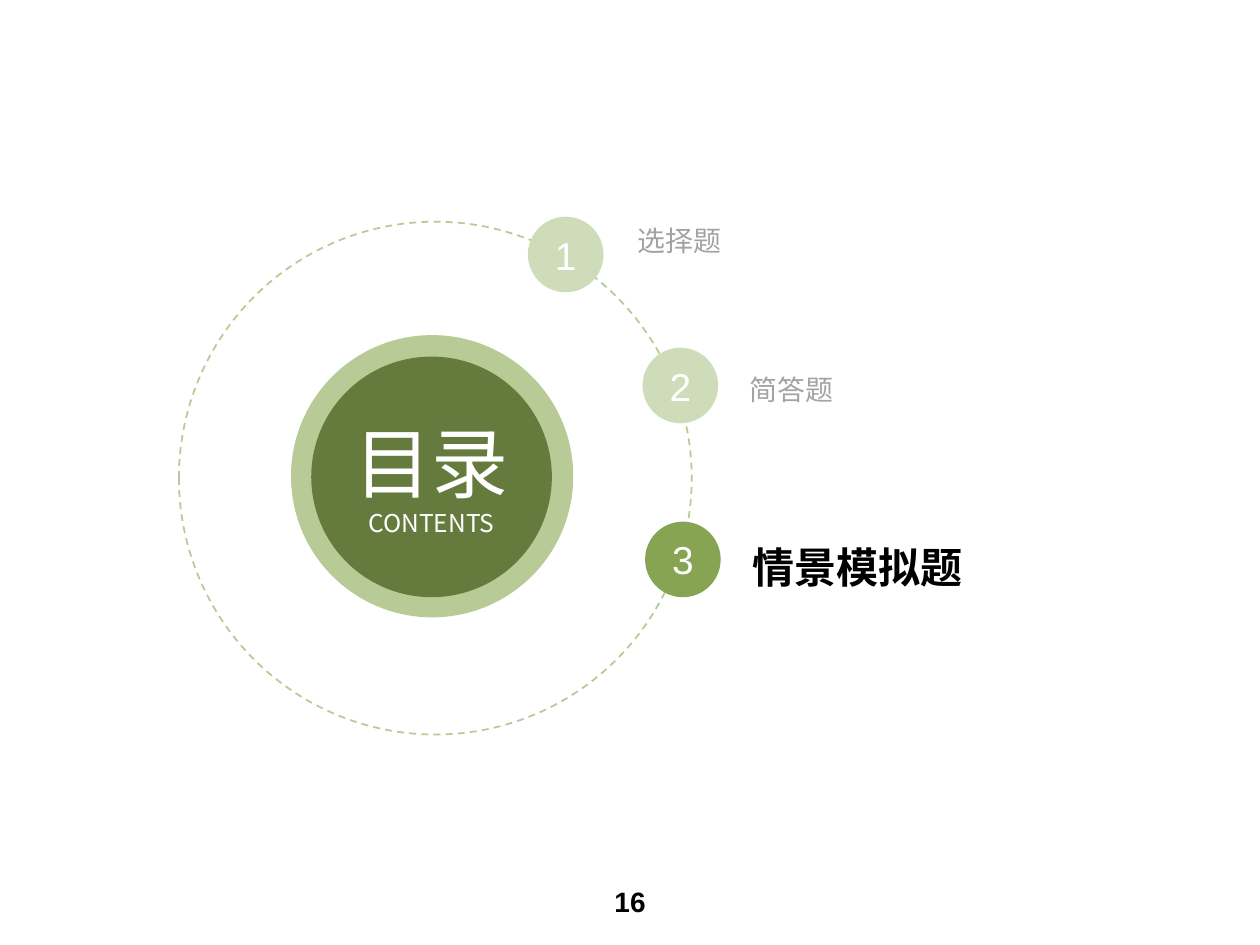
from pptx import Presentation
from pptx.dml.color import RGBColor
from pptx.enum.dml import MSO_LINE
from pptx.enum.shapes import MSO_SHAPE
from pptx.enum.text import MSO_ANCHOR, MSO_AUTO_SIZE, PP_ALIGN
from pptx.oxml.ns import qn
from pptx.util import Inches, Pt
from lxml.etree import SubElement

COLORS = {"halo": "B8CA95", "core": "657B3E", "muted": "CFDCB9", "active": "87A452",
          "gray": "A3A3A3", "black": "000000", "white": "FFFFFF"}
COLUMNS, ROWS = 100, 75
CJK_FONT = "Noto Sans CJK SC"


class ContentsSlide:
    """Draws contents-slide elements on a grid of columns and rows."""

    def __init__(self, presentation):
        self.slide = presentation.slides.add_slide(presentation.slide_layouts[5])
        self.column = presentation.slide_width / COLUMNS
        self.row = presentation.slide_height / ROWS

    def box(self, left, top, width, height):
        return (round(left * self.column), round(top * self.row),
                round(width * self.column), round(height * self.row))

    def set_text(self, shape, lines, color, font="Arial", bold=False,
                 align=PP_ALIGN.CENTER, spacing=None, insets=None):
        frame = shape.text_frame
        frame.word_wrap = True
        frame.auto_size = MSO_AUTO_SIZE.NONE
        frame.vertical_anchor = MSO_ANCHOR.MIDDLE
        if insets is not None:
            frame.margin_left = Inches(insets)
            frame.margin_right = frame.margin_top = frame.margin_bottom = 0
        frame.text = "\n".join(text for text, size in lines)
        for paragraph, (text, size) in zip(frame.paragraphs, lines):
            paragraph.alignment = align
            paragraph.line_spacing = spacing
            paragraph.font.name = font
            paragraph.font.size = Pt(size)
            paragraph.font.bold = bold
            paragraph.font.color.rgb = RGBColor.from_string(COLORS[color])
            for run in paragraph.runs:
                properties = run._r.get_or_add_rPr()
                SubElement(properties, qn("a:ea")).set("typeface", CJK_FONT)

    def circle(self, center_x, center_y, diameter, fill=None, dash=None):
        shape = self.slide.shapes.add_shape(MSO_SHAPE.OVAL, *self.box(
            center_x - diameter / 2, center_y - diameter / 2, diameter, diameter))
        shape.shadow.inherit = False
        if fill:
            shape.fill.solid()
            shape.fill.fore_color.rgb = RGBColor.from_string(COLORS[fill])
        else:
            shape.fill.background()
        if dash:
            shape.line.color.rgb = RGBColor.from_string(COLORS[dash])
            shape.line.width = Pt(1)
            shape.line.dash_style = MSO_LINE.DASH
        else:
            shape.line.fill.background()
        return shape

    def text(self, area, lines, color, **style):
        shape = self.slide.shapes.add_textbox(*self.box(*area))
        self.set_text(shape, lines, color, **style)

    def title(self, area, lines, color, **style):
        shape = self.slide.shapes.title
        shape.left, shape.top, shape.width, shape.height = self.box(*area)
        self.set_text(shape, lines, color, **style)


presentation = Presentation()
presentation.slide_width, presentation.slide_height = Inches(10), Inches(7.5)
contents = ContentsSlide(presentation)

contents.circle(34.3, 37.8, 22.4, fill="halo")
contents.circle(34.55, 37.95, 40.7, dash="halo")
core = contents.circle(34.25, 37.85, 19.1, fill="core")
contents.set_text(core, [("目录", 44), ("CONTENTS", 14)], "white", font=CJK_FONT, insets=0)

label_style = {"align": PP_ALIGN.LEFT, "spacing": 1.2, "insets": 0.04}
sections = [
    ("选择题", (50.2, 14.6, 39.1, 8.4), (44.9, 20.2), False),
    ("简答题", (59.1, 26.4, 32.6, 8.4), (54, 30.6), False),
    ("情景模拟题", (59.3, 40.4, 33, 8.4), (54.2, 44.4), True),
]
for number, (name, area, center, current) in enumerate(sections, 1):
    if current:
        contents.title(area, [(name, 24)], "black", bold=True, **label_style)
    else:
        contents.text(area, [(name, 16)], "gray", **label_style)
    marker = contents.circle(*center, 6, fill="active" if current else "muted")
    contents.set_text(marker, [(str(number), 22.2)], "white")

contents.text((33.1, 69.5, 33.8, 4), [("16", 16)], "black", bold=True)

presentation.save("out.pptx")
